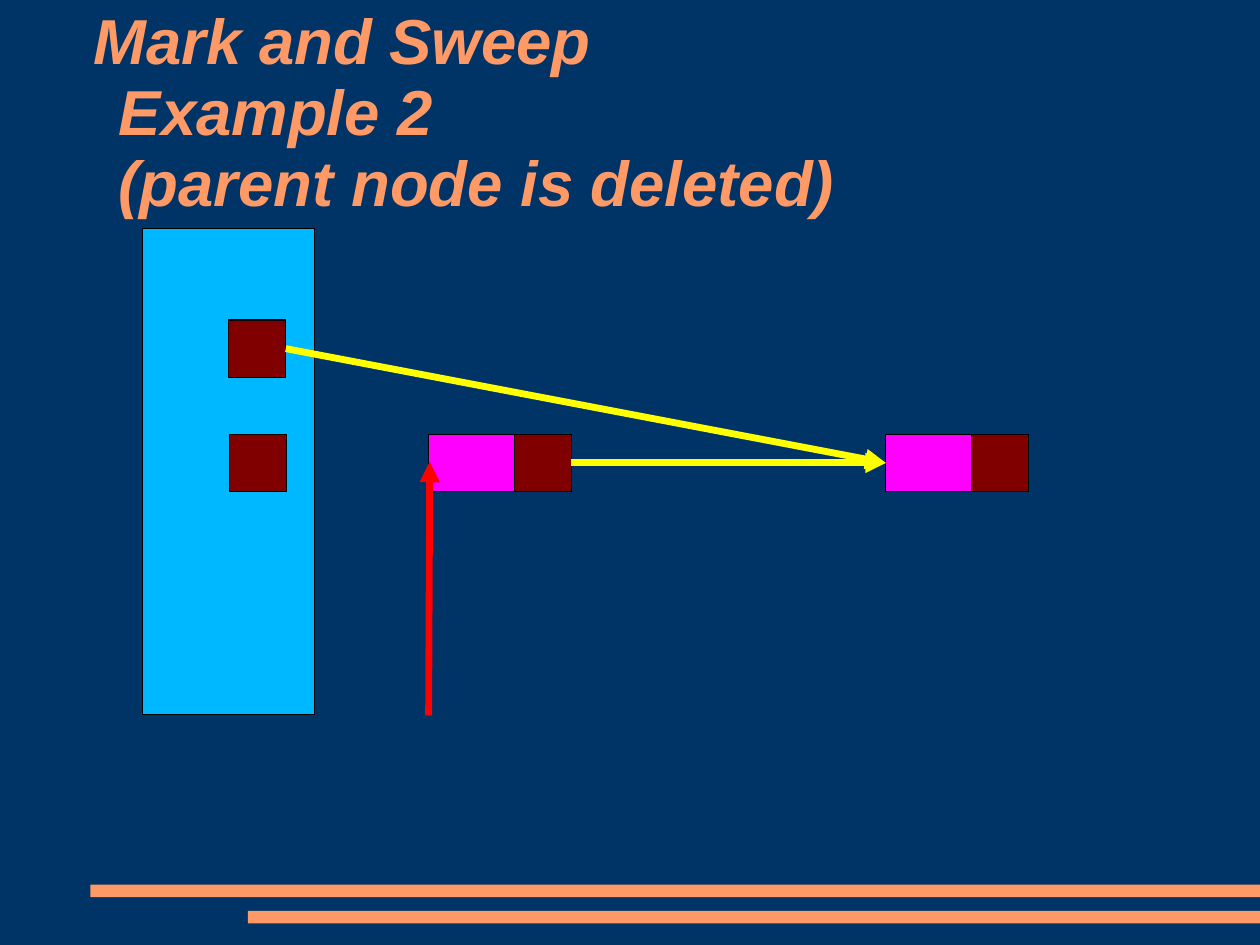
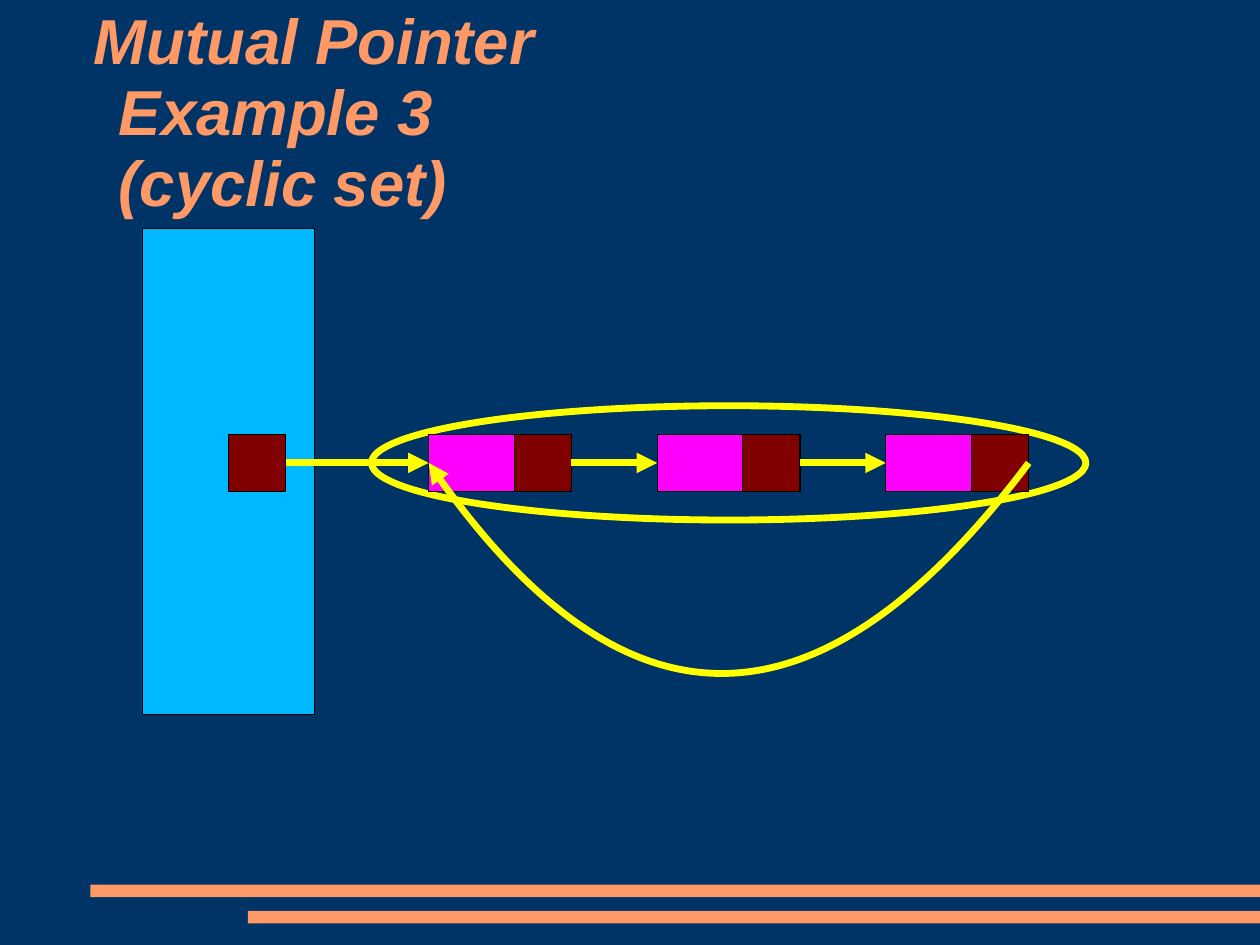
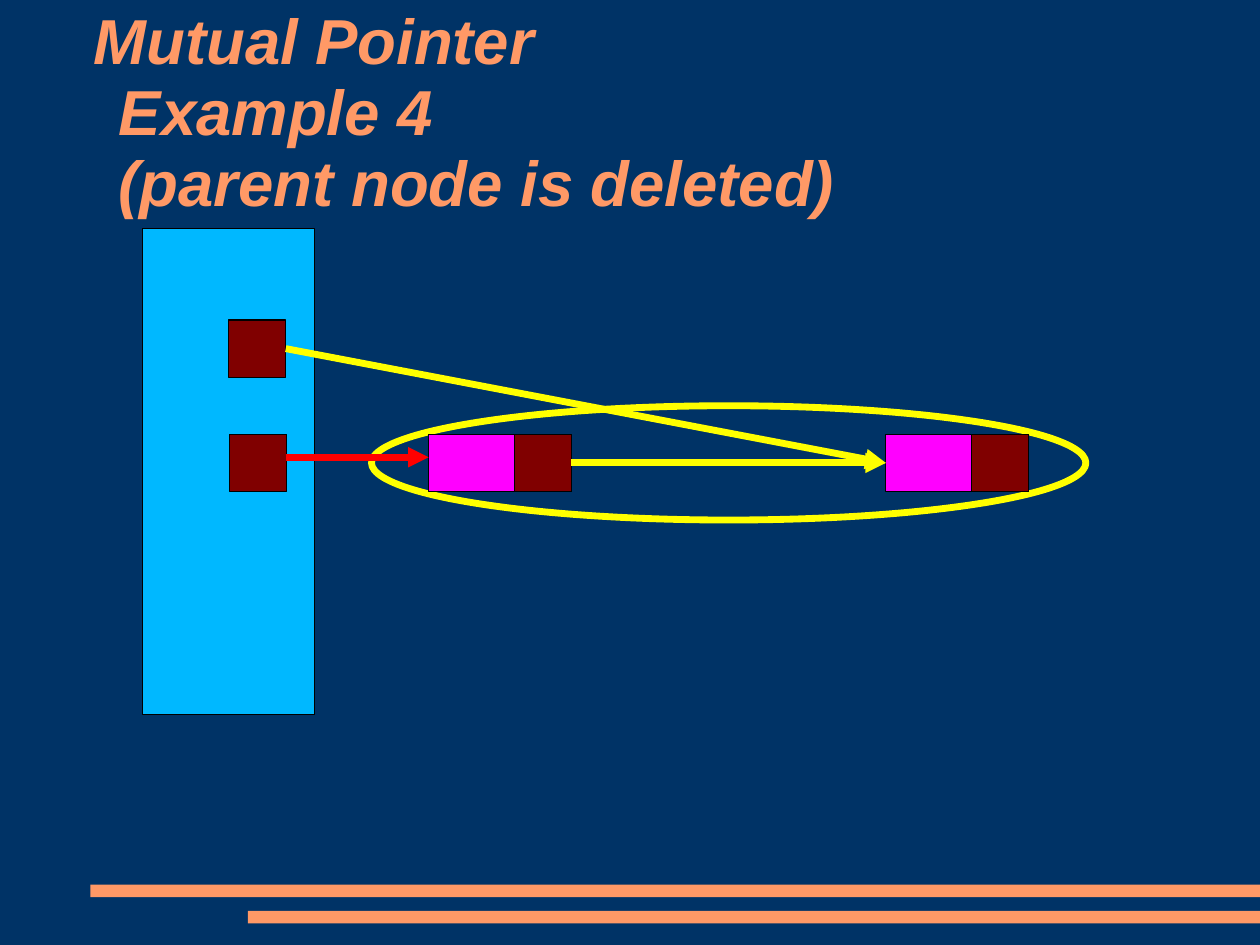
from lxml import etree
from pptx import Presentation, util as u
from pptx.dml.color import RGBColor
from pptx.enum import shapes as kinds, text
from pptx.oxml.ns import qn

THEME = dict(
    back="003366", accent="FF9966", stack="00B8FF", data="FF00FF",
    link="800000", edge="000000", live="FFFF00", dead="FF0000",
    font="Arial", size=40, thin=0.75, thick=4.31)

# Geometry, in inches unless given in centimetres
PAGE = (u.Cm(28), u.Cm(21))
WIDE = PAGE[0].inches
TITLE = (0.81, 0.07, 9.41, 1.86)
BANDS = [(0.79, 7.74), (2.17, 7.97)]
STACK = (1.25, 2, 1.5, 4.25)
RING = (3.25, 3.55, 6.25, 1)
CELL, NODE, STEP = 0.5, 1.25, 2
ROOT, FIRST = 2, 3.75            # left edges of root cells and first node
UPPER, MID = 3.05, 4.05          # centre lines of the two rows
OUT = ROOT + CELL                # right edge of root cells
IN = [FIRST + STEP * n for n in range(3)]
END = [x + NODE for x in IN]

# Content: roots are (left, centre line), arrows are (from, to, colour)
PAIR = [(ROOT, UPPER), (2.01, MID)]
SHORTCUT = ((OUT, UPPER), (IN[2], MID), "live")
SKIP = ((END[0], MID), (IN[2], MID), "live")
SLIDES = [
    dict(title=["Mark and Sweep", "Example 2", "(parent node is deleted)"],
         roots=PAIR, nodes=[0, 2],
         arrows=[SHORTCUT, SKIP, ((FIRST, 6.26), (3.76, 4.04), "dead")]),
    dict(title=["Mutual Pointer", "Example 3", "(cyclic set)"],
         roots=[(ROOT, MID)], nodes=[0, 1, 2], ring=True,
         arrows=[((a, MID), (b, MID), "live")
                 for a, b in zip([OUT] + END, IN)],
         loop=[(END[2], MID), (6.25, 7.7), (IN[0], MID)]),
    dict(title=["Mutual Pointer", "Example 4", "(parent node is deleted)"],
         roots=PAIR, nodes=[0, 2], ring=True,
         arrows=[SHORTCUT, SKIP, ((OUT, 4), (FIRST, 4), "dead")]),
]


def inch(vals):
    return [u.Inches(v) for v in vals]


def tint(name):
    return RGBColor.from_string(THEME[name])


def stroke(line, color, width):
    line.color.rgb = tint(color)
    line.width = u.Pt(THEME[width])


def block(slide, spot, fill=None, edge="edge", width="thin", kind="RECTANGLE"):
    shape = slide.shapes.add_shape(
        getattr(kinds.MSO_SHAPE, kind), *inch(spot))
    shape.shadow.inherit = False
    if fill:
        shape.fill.solid()
        shape.fill.fore_color.rgb = tint(fill)
    else:
        shape.fill.background()
    if edge:
        stroke(shape.line, edge, width)
    else:
        shape.line.fill.background()
    return shape


def point(shape, color):
    """Give a line its colour, arrowhead and no shadow."""
    stroke(shape.line, color, "thick")
    props = shape.element.spPr
    etree.SubElement(props.find(qn("a:ln")), qn("a:tailEnd"), type="triangle")
    etree.SubElement(props, qn("a:effectLst"))


def arrow(slide, start, stop, color):
    point(slide.shapes.add_connector(
        kinds.MSO_CONNECTOR.STRAIGHT, *inch(start + stop)), color)


def curve(slide, start, bend, stop):
    """Draw a quadratic curve from start to stop."""
    pen = slide.shapes.build_freeform(*inch(start))
    pen.add_line_segments([inch(bend), inch(stop)], close=False)
    shape = pen.convert_to_shape()
    shape.fill.background()
    trace = next(shape.element.iter(qn("a:path")))
    legs = trace.findall(qn("a:lnTo"))
    quad = etree.SubElement(trace, qn("a:quadBezTo"))
    for leg in legs:
        quad.append(leg[0])
        trace.remove(leg)
    point(shape, "live")


def brand(master, layout):
    """Set the shared background and title style."""
    master.background.fill.solid()
    master.background.fill.fore_color.rgb = tint("back")
    style = next(master.element.iter(qn("p:titleStyle")))[0]
    for key, val in dict(marL=u.Inches(0.23), indent=u.Inches(-0.22),
                         algn="l").items():
        style.set(key, str(val))
    space = etree.Element(qn("a:lnSpc"))
    etree.SubElement(space, qn("a:spcPct"), val="93000")
    style.insert(0, space)
    run = style.find(qn("a:defRPr"))
    for key, val in dict(sz=THEME["size"] * 100, b=1, i=1).items():
        run.set(key, str(val))
    fill = run.find(qn("a:solidFill"))
    fill.clear()
    etree.SubElement(fill, qn("a:srgbClr"), val=THEME["accent"])
    run.find(qn("a:latin")).set("typeface", THEME["font"])

    head = layout.placeholders[0]
    head.left, head.top, head.width, head.height = inch(TITLE)
    frame = dict(margin_left=0, margin_top=0, margin_right=0, margin_bottom=0,
                 word_wrap=True, auto_size=text.MSO_AUTO_SIZE.NONE,
                 vertical_anchor=text.MSO_ANCHOR.MIDDLE)
    for key, val in frame.items():
        setattr(head.text_frame, key, val)


def draw(slide, page):
    slide.shapes.title.text_frame.text = "\v".join(page["title"])
    if page.get("ring"):
        block(slide, RING, None, "live", "thick", "OVAL")
    block(slide, STACK, "stack")
    for left, mid in page["roots"]:
        block(slide, (left, mid - CELL / 2, CELL, CELL), "link")
    for n in page["nodes"]:
        top = MID - CELL / 2
        block(slide, (IN[n], top, NODE, CELL), "data")
        block(slide, (END[n] - CELL, top, CELL, CELL), "link")
    for item in page["arrows"]:
        arrow(slide, *item)
    if "loop" in page:
        curve(slide, *page["loop"])


def main():
    deck = Presentation()
    deck.slide_width, deck.slide_height = PAGE
    layout = deck.slide_layouts.get_by_name("Title Only")
    brand(deck.slide_master, layout)
    pages = [deck.slides.add_slide(layout) for _ in SLIDES]
    # Bands are made on a slide, then moved to the master
    tree = deck.slide_master.element.cSld.spTree
    for left, top in BANDS:
        band = block(pages[0], (left, top, WIDE - left, 0.11), "accent", None)
        tree.append(band.element)
    for slide, page in zip(pages, SLIDES):
        draw(slide, page)
    deck.save("out.pptx")


if __name__ == "__main__":
    main()
